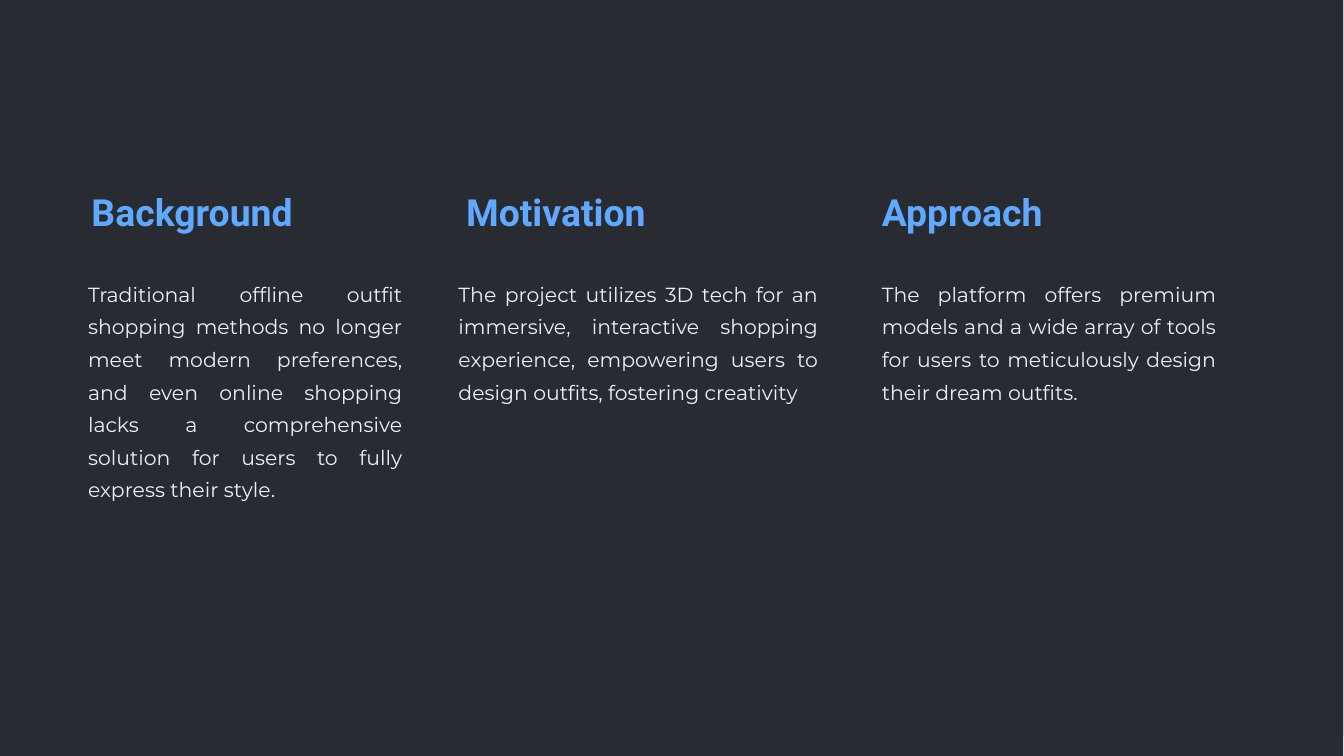
from pptx import Presentation
from pptx.dml.color import RGBColor
from pptx.enum.shapes import MSO_SHAPE
from pptx.enum.text import PP_ALIGN
from pptx.util import Inches, Pt

RECTANGLE = MSO_SHAPE.RECTANGLE
LEFT, JUSTIFY = PP_ALIGN.LEFT, PP_ALIGN.JUSTIFY


def rgb(value):
    return RGBColor.from_string(value)


def add_text(s, text, x, y, w, h, font, size, color, bold, align, spacing, wrap):
    tf = s.shapes.add_textbox(Inches(x), Inches(y), Inches(w), Inches(h)).text_frame
    tf.word_wrap = wrap
    p = tf.paragraphs[0]
    p.text = text
    p.alignment = align
    p.line_spacing = Pt(spacing)
    p.font.name = font
    p.font.size = Pt(size)
    p.font.bold = bold
    p.font.color.rgb = rgb(color)


prs = Presentation()
prs.slide_width = Inches(16)
prs.slide_height = Inches(9)
s = prs.slides.add_slide(prs.slide_layouts[6])

for backdrop_y in (0, -0.23):
    backdrop = s.shapes.add_shape(RECTANGLE, Inches(-0.01), Inches(backdrop_y),
                                  Inches(16), Inches(9))
    backdrop.shadow.inherit = False
    backdrop.fill.solid()
    backdrop.fill.fore_color.rgb = rgb("282C32")
    backdrop.line.fill.background()

columns = [
    ("Background", 0.99, 3.38, 0.95, 3.94,
     "Traditional offline outfit shopping methods no longer meet modern preferences, "
     "and even online shopping lacks a comprehensive solution for users to fully "
     "express their style."),
    ("Motivation", 5.45, 2.92, 5.36, 4.48,
     "The project utilizes 3D tech for an immersive, interactive shopping experience, "
     "empowering users to design outfits, fostering creativity"),
    ("Approach", 10.4, 2.41, 10.4, 4.18,
     "The platform offers premium models and a wide array of tools for users to "
     "meticulously design their dream outfits."),
]

for heading, heading_x, heading_w, body_x, body_w, body in columns:
    add_text(s, heading, heading_x, 2.36, heading_w, 0.75,
             "Roboto", 32, "60A9FF", True, LEFT, 27.3, False)
    add_text(s, body, body_x, 3.21, body_w, 4.72,
             "Montserrat", 17.5, "EEEFF5", False, JUSTIFY, 27.95, True)

prs.save("out.pptx")
